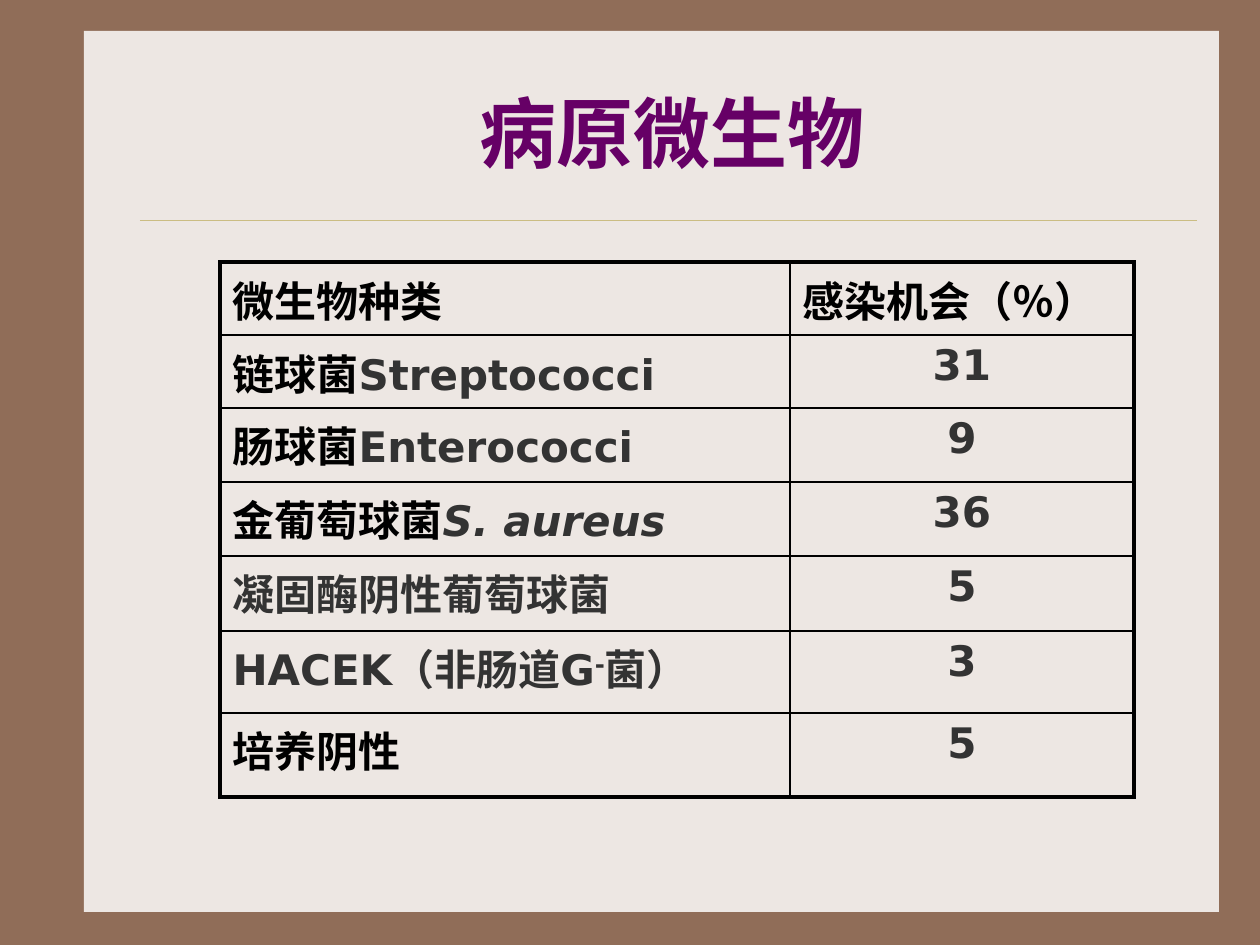
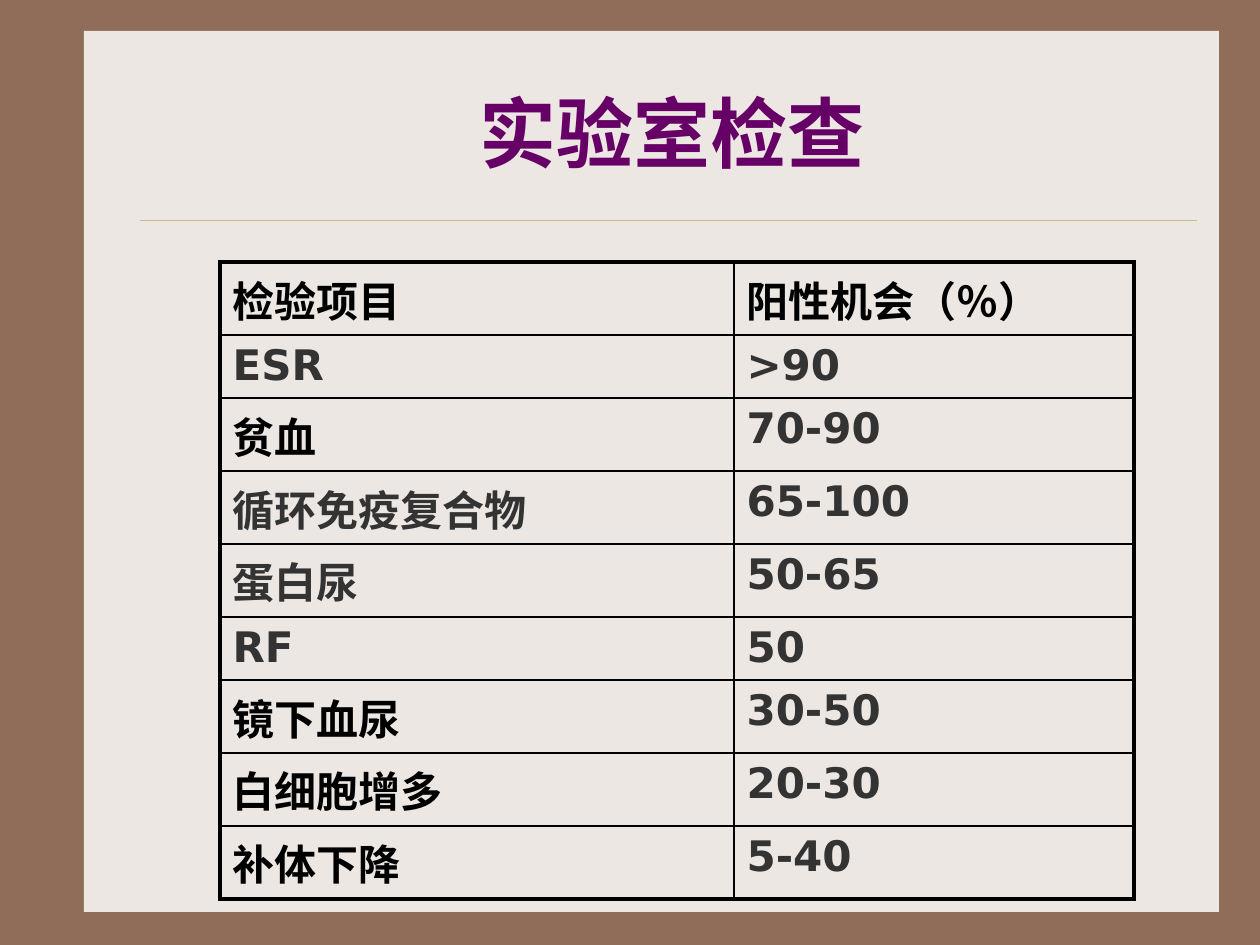
import lxml.etree
import pptx
import pptx.dml.color
import pptx.enum.shapes
import pptx.enum.text
import pptx.oxml.ns
import pptx.util

PIXELS_PER_INCH = 126
FRAME_BROWN = pptx.dml.color.RGBColor(0x90, 0x6D, 0x58)
PANEL_BEIGE = pptx.dml.color.RGBColor(0xED, 0xE7, 0xE3)
RULE_GOLD = pptx.dml.color.RGBColor(0xCB, 0xBD, 0x83)
TITLE_PURPLE = pptx.dml.color.RGBColor(0x66, 0x00, 0x66)
BLACK = pptx.dml.color.RGBColor(0x00, 0x00, 0x00)
DARK_GREY = pptx.dml.color.RGBColor(0x33, 0x33, 0x33)

SERIF = "Times New Roman"
SANS = "DejaVu Sans"
LEFT = pptx.enum.text.PP_ALIGN.LEFT
CENTER = pptx.enum.text.PP_ALIGN.CENTER
OUTER_WIDTH = 2.25
INNER_WIDTH = 1


def px(length):
    return round(length * pptx.util.Inches(1) / PIXELS_PER_INCH)


def black(text):
    return {"text": text, "font": SERIF, "color": BLACK}


def grey(text, **extra):
    return {"text": text, "font": SANS, "color": DARK_GREY, **extra}


class Deck:
    """Presentation style together with the slide being built."""

    def __init__(self):
        self.presentation = pptx.Presentation()
        self.presentation.slide_width = px(1260)
        self.presentation.slide_height = px(945)
        self.slide = None

    def add_slide(self, title):
        self.slide = self.presentation.slides.add_slide(self.presentation.slide_layouts[6])
        fill = self.slide.background.fill
        fill.solid()
        fill.fore_color.rgb = FRAME_BROWN
        self.add_panel(84, 31, 1135, 881)
        self.add_rule(140, 1197, 220)
        self.add_title(title, 147, 53, 1050, 157)

    def add_panel(self, left, top, width, height):
        shape = self.slide.shapes.add_shape(
            pptx.enum.shapes.MSO_SHAPE.RECTANGLE, px(left), px(top), px(width), px(height))
        shape.shadow.inherit = False
        shape.fill.solid()
        shape.fill.fore_color.rgb = PANEL_BEIGE
        shape.line.fill.background()

    def add_rule(self, start, end, top):
        connector = self.slide.shapes.add_connector(
            pptx.enum.shapes.MSO_CONNECTOR.STRAIGHT, px(start), px(top), px(end), px(top))
        connector.line.color.rgb = RULE_GOLD
        connector.line.width = pptx.util.Pt(0.25)
        lxml.etree.SubElement(connector._element.spPr, pptx.oxml.ns.qn("a:effectLst"))

    def add_title(self, text, left, top, width, height):
        shape = self.slide.shapes.add_textbox(px(left), px(top), px(width), px(height))
        shape.text_frame.word_wrap = True
        shape.text_frame.vertical_anchor = pptx.enum.text.MSO_ANCHOR.MIDDLE
        paragraph = shape.text_frame.paragraphs[0]
        paragraph.alignment = CENTER
        self.add_run(paragraph, text, SERIF, TITLE_PURPLE, size=44)

    def add_run(self, paragraph, text, font, color, size=24, italic=False, baseline=0):
        run = paragraph.add_run()
        run.text = text
        run.font.name = font
        run.font.size = pptx.util.Pt(size)
        run.font.bold = True
        run.font.italic = italic
        run.font.color.rgb = color
        if baseline:
            run.font._element.set("baseline", str(baseline * 1000))

    def add_table(self, rows, column_widths, row_heights, value_alignment):
        table = self.slide.shapes.add_table(
            len(rows), len(column_widths), px(220), px(262),
            px(sum(column_widths)), px(sum(row_heights))).table
        table.first_row = table.horz_banding = False
        for column, width in zip(table.columns, column_widths):
            column.width = px(width)
        for row, height in zip(table.rows, row_heights):
            row.height = px(height)
        last_row, last_column = len(rows) - 1, len(column_widths) - 1
        for row_index, row_cells in enumerate(rows):
            for column_index, runs in enumerate(row_cells):
                cell = table.cell(row_index, column_index)
                cell.fill.background()
                self.add_borders(cell, {
                    "L": column_index == 0, "R": column_index == last_column,
                    "T": row_index == 0, "B": row_index == last_row})
                paragraph = cell.text_frame.paragraphs[0]
                is_value = row_index > 0 and column_index == last_column
                paragraph.alignment = value_alignment if is_value else LEFT
                for run in runs:
                    self.add_run(paragraph, **run)

    def add_borders(self, cell, outer_sides):
        properties = cell._tc.get_or_add_tcPr()
        for position, (side, is_outer) in enumerate(outer_sides.items()):
            width = OUTER_WIDTH if is_outer else INNER_WIDTH
            border = lxml.etree.Element(
                pptx.oxml.ns.qn(f"a:ln{side}"), w=str(pptx.util.Pt(width)))
            fill = lxml.etree.SubElement(border, pptx.oxml.ns.qn("a:solidFill"))
            lxml.etree.SubElement(fill, pptx.oxml.ns.qn("a:srgbClr"), val=str(BLACK))
            properties.insert(position, border)


def build_pathogens(deck):
    organisms = [
        ([black("链球菌"), grey("Streptococci")], "31"),
        ([black("肠球菌"), grey("Enterococci")], "9"),
        ([black("金葡萄球菌"), grey("S. aureus", italic=True)], "36"),
        ([grey("凝固酶阴性葡萄球菌")], "5"),
        ([grey("HACEK（非肠道G"), grey("-", baseline=30), grey("菌）")], "3"),
        ([black("培养阴性")], "5"),
    ]
    header = ([black("微生物种类")], [black("感染机会（％）")])
    rows = [header] + [(organism, [grey(share)]) for organism, share in organisms]
    deck.add_slide("病原微生物")
    deck.add_table(rows, [570, 344], [73, 73, 74, 74, 75, 82, 84], CENTER)


def build_laboratory_tests(deck):
    tests = [
        (grey("ESR"), ">90"),
        (black("贫血"), "70-90"),
        (grey("循环免疫复合物"), "65-100"),
        (grey("蛋白尿"), "50-65"),
        (grey("RF"), "50"),
        (black("镜下血尿"), "30-50"),
        (black("白细胞增多"), "20-30"),
        (black("补体下降"), "5-40"),
    ]
    header = ([black("检验项目")], [black("阳性机会（％）")])
    rows = [header] + [([test], [grey(share)]) for test, share in tests]
    heights = [73] + [63 if test["text"].isascii() else 73 for test, share in tests]
    deck.add_slide("实验室检查")
    deck.add_table(rows, [514, 400], heights, LEFT)


def main():
    deck = Deck()
    build_pathogens(deck)
    build_laboratory_tests(deck)
    deck.presentation.save("out.pptx")


if __name__ == "__main__":
    main()
